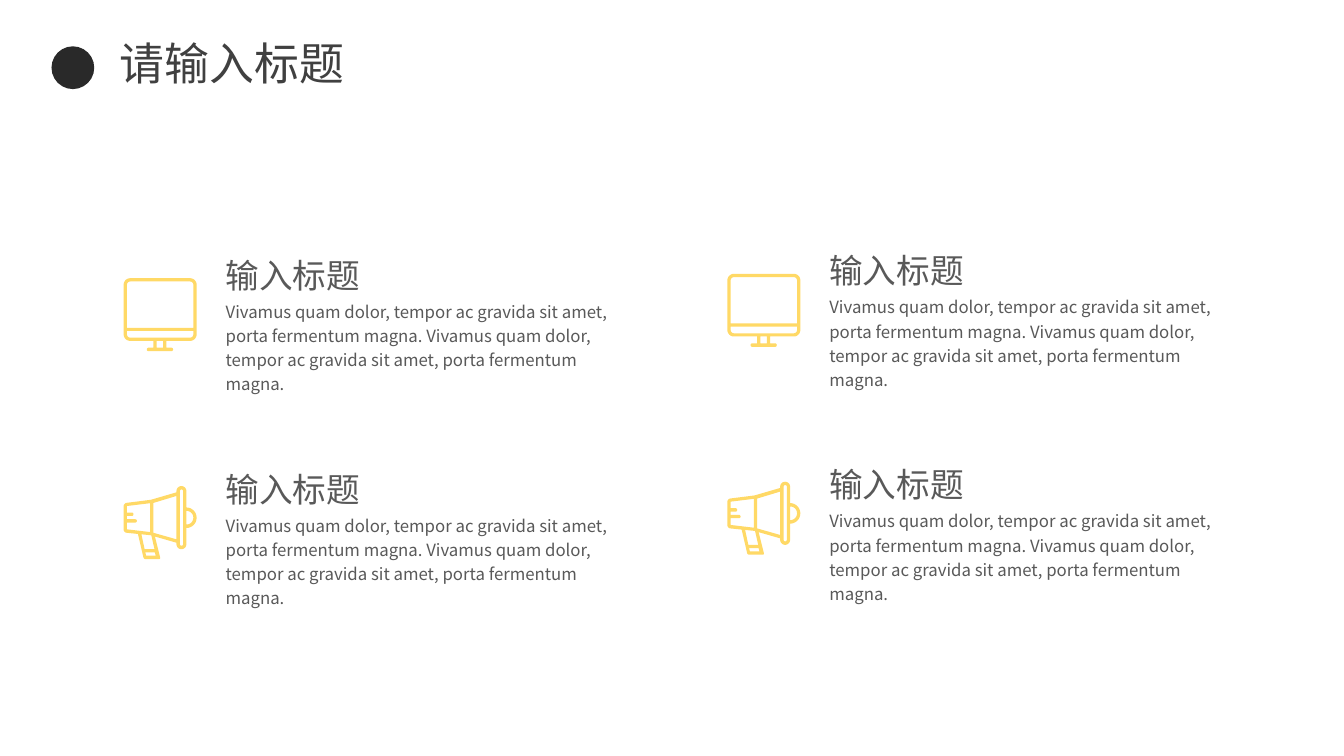
from lxml.etree import SubElement
from pptx import Presentation
from pptx.dml.color import RGBColor as Rgb
from pptx.enum.shapes import MSO_SHAPE as Preset
from pptx.enum.text import MSO_AUTO_SIZE as Fit
from pptx.oxml.ns import qn
from pptx.util import Inches, Pt

COLORS = {"dot": "292929", "headline": "404040", "copy": "595959", "icon": "FFD966"}
FONT = "Noto Sans CJK SC"
HEADLINE = {"size": Pt(32), "name": FONT}
HEADING = {"size": Pt(24), "name": FONT}
BODY = {"size": Pt(12), "name": FONT}
HEADLINE_FRAME = {"word_wrap": False, "auto_size": Fit.SHAPE_TO_FIT_TEXT}
COPY_FRAME = {"word_wrap": True, "auto_size": Fit.SHAPE_TO_FIT_TEXT}
SENTENCE = "Vivamus quam dolor, tempor ac gravida sit amet, porta fermentum magna."

# (x, y) or (x, y, corner radius) in hundredths of an inch
MONITOR = [
    [(0, 0, 6.5), (72.4, 0, 6.5), (72.4, 62.2, 6.5), (42.4, 62.2), (42.4, 69),
     (49, 69, 1.6), (49, 72.4, 1.6), (23, 72.4, 1.6), (23, 69, 1.6),
     (29.5, 69), (29.5, 62.2), (0, 62.2, 6.5)],
    [(3.3, 3.3, 3.2), (69.1, 3.3, 3.2), (69.1, 49.2), (3.3, 49.2)],
    [(3.3, 52.4), (69.1, 52.4), (69.1, 59, 3.2), (3.3, 59, 3.2)],
    [(32.8, 62.2), (39.2, 62.2), (39.2, 69), (32.8, 69)],
]
MEGAPHONE = [
    [(62.2, 21.2), (72.4, 21.2, 10.2), (72.4, 41.6, 10.2), (62.2, 41.6),
     (62.2, 62.6, 4.9), (52.4, 62.6, 4.9), (52.4, 56.2), (31, 50),
     (36.6, 72.4, 1.6), (20, 72.4, 1.6), (14.2, 47.5), (0, 46, 3),
     (0, 17, 3), (27, 13.6), (52.4, 6.2), (52.4, 0, 4.9), (62.2, 0, 4.9)],
    [(62.2, 24.6), (69.1, 24.6, 6.6), (69.1, 38.1, 6.6), (62.2, 38.1)],
    [(55.8, 3.3, 1.6), (59, 3.3, 1.6), (59, 59.2, 1.6), (55.8, 59.2, 1.6)],
    [(52.4, 9.8), (52.4, 52.8), (29.5, 46.3), (29.5, 16.7)],
    [(31, 65.8), (31.8, 69.1), (22.3, 69.1), (21.5, 65.8)],
    [(20.8, 62.6), (17.6, 47.8), (27, 48.8), (27.5, 49), (30.6, 62.6)],
    [(3.3, 42.9), (3.3, 36.2), (13.1, 36.2, 1.6), (13.1, 32.9, 1.6), (3.3, 32.9),
     (3.3, 29.6), (9.8, 29.6, 1.6), (9.8, 26.3, 1.6), (3.3, 26.3),
     (3.3, 19.8), (26.2, 17), (26.2, 45.6)],
]


def toward(corner, neighbour, distance):
    dx, dy = neighbour[0] - corner[0], neighbour[1] - corner[1]
    share = distance / (dx * dx + dy * dy) ** 0.5
    return corner[0] + dx * share, corner[1] + dy * share


def rounded(corners, steps=8):
    points = []
    for i, corner in enumerate(corners):
        if len(corner) == 2:
            points.append(corner)
            continue
        before, after = corners[i - 1], corners[(i + 1) % len(corners)]
        radius = corner[2]
        curve = [toward(corner, before, radius), toward(corner, before, radius * 0.45),
                 toward(corner, after, radius * 0.45), toward(corner, after, radius)]
        for step in range(steps + 1):
            t = step / steps
            weights = ((1 - t) ** 3, 3 * t * (1 - t) ** 2, 3 * t * t * (1 - t), t ** 3)
            points.append(tuple(sum(w * p[axis] for w, p in zip(weights, curve))
                                for axis in (0, 1)))
    return points


class Page:
    def __init__(self, deck):
        self.slide = deck.slides.add_slide(deck.slide_layouts[6])
        self.column, self.row = deck.slide_width / 100, deck.slide_height / 100

    def place(self, x, y):
        return round(x * self.column), round(y * self.row)

    def paint(self, shape, color):
        shape.shadow.inherit = False
        shape.fill.solid()
        shape.fill.fore_color.rgb = Rgb.from_string(COLORS[color])
        shape.line.fill.background()

    def dot(self, x, y, diameter):
        size = round(diameter * self.column)
        self.paint(self.slide.shapes.add_shape(Preset.OVAL, *self.place(x, y), size, size), "dot")

    def text(self, words, x, y, width, height, color, style, frame_style, spacing=None):
        frame = self.slide.shapes.add_textbox(
            *self.place(x, y), *self.place(width, height)).text_frame
        for key, value in frame_style.items():
            setattr(frame, key, value)
        paragraph = frame.paragraphs[0]
        paragraph.line_spacing = spacing
        run = paragraph.add_run()
        run.text = words
        run.font.color.rgb = Rgb.from_string(COLORS[color])
        for key, value in style.items():
            setattr(run.font, key, value)
        SubElement(run.font._element, qn("a:ea"), typeface=FONT)

    def icon(self, outlines, x, y):
        unit = Inches(0.01)
        contours = [[(px * unit, py * unit) for px, py in rounded(outline)]
                    for outline in outlines]
        builder = self.slide.shapes.build_freeform(*contours[0][0], scale=1.0)
        builder.add_line_segments(contours[0][1:], close=True)
        for hole in contours[1:]:
            builder.move_to(*hole[0])
            builder.add_line_segments(hole[1:], close=True)
        self.paint(builder.convert_to_shape(*self.place(x, y)), "icon")

    def feature(self, outlines, icon_drop, x, y):
        self.icon(outlines, x, y + icon_drop)
        self.text("输入标题", x + 6.85, y, 30.08, 7.33, "copy", HEADING, COPY_FRAME, 1.2)
        self.text(f"{SENTENCE} {SENTENCE}", x + 6.85, y + 6.75, 30.08, 11.07,
                  "copy", BODY, COPY_FRAME, 1.2)


def main():
    deck = Presentation()
    deck.slide_width, deck.slide_height = Inches(13.33), Inches(7.5)
    page = Page(deck)
    page.dot(3.83, 6.13, 3.18)
    page.text("请输入标题", 8.18, 4, 18.38, 8.53, "headline", HEADLINE, HEADLINE_FRAME)
    for x, top in ((9.2, 31.95), (54.12, 31.37)):
        for index, (outlines, icon_drop) in enumerate(((MONITOR, 4.85), (MEGAPHONE, 4.05))):
            page.feature(outlines, icon_drop, x, top + index * 28.3)
    deck.save("out.pptx")


if __name__ == "__main__":
    main()
